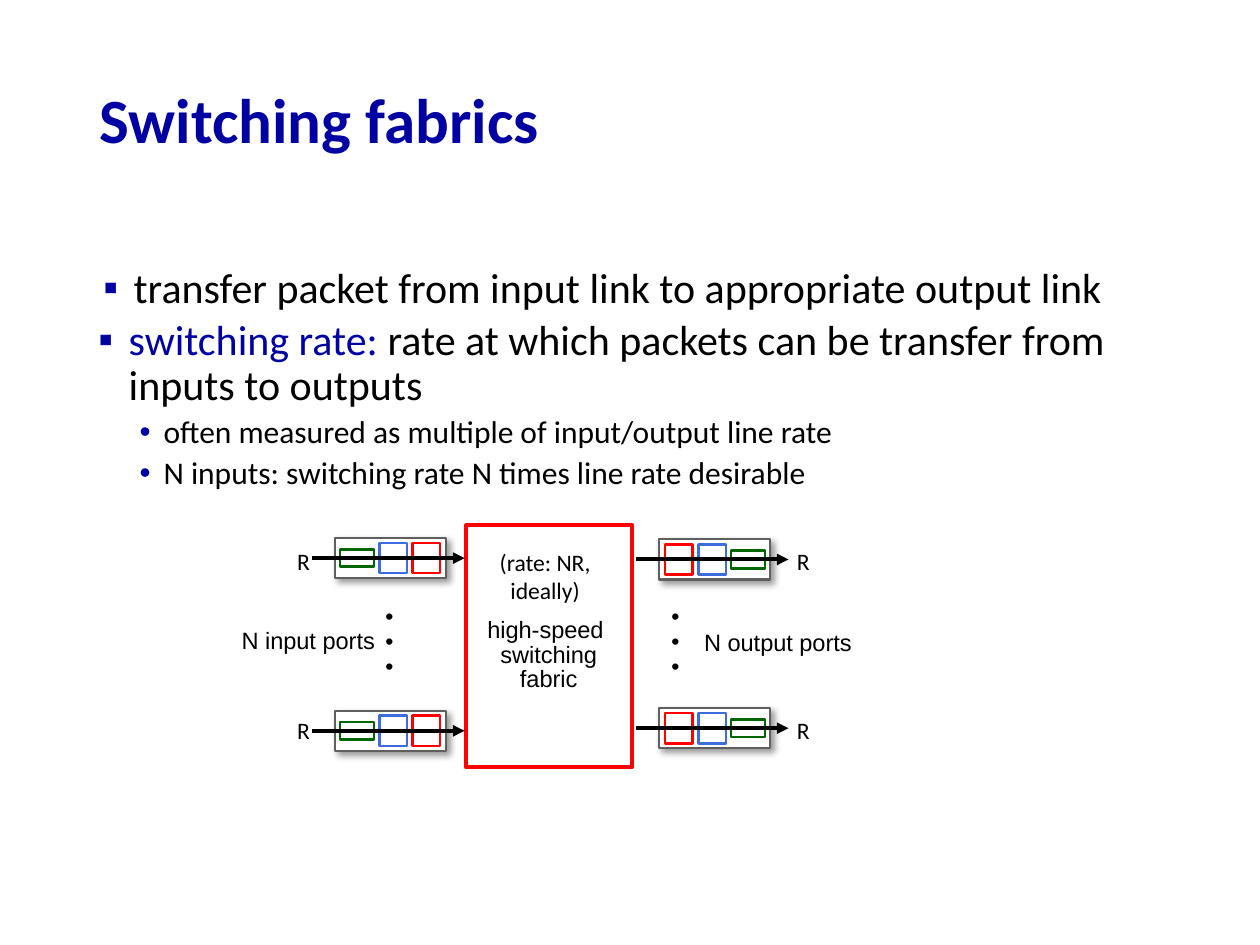
import pptx
import pptx.util
import pptx.dml.color
import pptx.enum.shapes
import pptx.enum.text
import pptx.oxml
import pptx.oxml.ns

Pt = pptx.util.Pt
RGB = pptx.dml.color.RGBColor.from_string
Align = pptx.enum.text.PP_ALIGN
Fit = pptx.enum.text.MSO_AUTO_SIZE
Rect = pptx.enum.shapes.MSO_SHAPE.RECTANGLE
Wire = pptx.enum.shapes.MSO_CONNECTOR.STRAIGHT
NS = pptx.oxml.ns.nsdecls("a")

hues = {
    "navy": "0000A3", "dot": "0000A8", "black": "000000", "white": "FFFFFF",
    "red": "FF0000", "blue": "3C6CDF", "green": "006600", "gray": "5F5F5F",
}
shade = (
    f'<a:effectLst {NS}><a:outerShdw blurRad="50800" dist="38100" dir="2700000" '
    f'algn="tl" rotWithShape="0"><a:srgbClr val="{hues["black"]}">'
    '<a:alpha val="40000"/></a:srgbClr></a:outerShdw></a:effectLst>'
)


def write(para, text, hue="black", **form):
    run = para.add_run()
    run.text = text
    run.font.color.rgb = RGB(hues[hue])
    for key, value in form.items():
        setattr(run.font, key, value)


def frame(x, y, w, h, hue, width):
    box = slide.shapes.add_shape(Rect, Pt(x), Pt(y), Pt(w), Pt(h))
    box.shadow.inherit = False
    box.fill.solid()
    box.fill.fore_color.rgb = RGB(hues["white"])
    box.line.color.rgb = RGB(hues[hue])
    box.line.width = Pt(width)
    return box


deck = pptx.Presentation()
deck.slide_width, deck.slide_height = Pt(720), Pt(540)
slide = deck.slides.add_slide(deck.slide_layouts[1])

title, body = slide.placeholders
rate = slide.shapes.add_textbox(Pt(47.5), Pt(179.3), Pt(651.6), Pt(136.8))
spots = [(title, 49.7, 35.3, 620.6, 70.6), (body, 48.2, 149, 651.6, 37.4)]
for shape, *spot in spots:
    shape.left, shape.top, shape.width, shape.height = map(Pt, spot)
for shape in (title, body, rate):
    shape.text_frame.word_wrap = True
    shape.text_frame.auto_size = Fit.NONE
for side, gap in {"left": 5, "right": 5, "top": 3, "bottom": 3}.items():
    setattr(rate.text_frame, f"margin_{side}", Pt(gap))

head = title.text_frame.paragraphs[0]
head.alignment = Align.LEFT
head.line_spacing = 0.9
write(head, "Switching fabrics", "navy", name="Calibri", size=Pt(36), bold=True)

levels = [
    {"mark": "▪", "hue": "navy", "left": 21, "hang": -17.3, "size": 24, "gap": 7.5},
    {"mark": "•", "hue": "dot", "left": 41, "hang": -13.7, "size": 18, "gap": 3.8},
]
items = [
    (body, 0, [("transfer packet from input link to appropriate output link", "black")]),
    (rate, 0, [("switching rate: ", "navy"),
               ("rate at which packets can be transfer from inputs to outputs", "black")]),
    (rate, 1, [("often measured as multiple of input/output line rate", "black")]),
    (rate, 1, [("N inputs: switching rate N times line rate desirable", "black")]),
]
for shape, rank, parts in items:
    text = shape.text_frame
    first = not text.text
    para = text.paragraphs[0] if first else text.add_paragraph()
    look = levels[rank]
    para.level = rank
    props = para._p.get_or_add_pPr()
    props.set("marL", str(Pt(look["left"])))
    props.set("indent", str(Pt(look["hang"])))
    for part in (
        f'<a:buClr {NS}><a:srgbClr val="{hues[look["hue"]]}"/></a:buClr>',
        f'<a:buFont {NS} typeface="Arial"/>',
        f'<a:buChar {NS} char="{look["mark"]}"/>',
    ):
        props.append(pptx.oxml.parse_xml(part))
    para.line_spacing = 0.9
    para.space_before = Pt(0 if first else look["gap"])
    for words, hue in parts:
        write(para, words, hue, name="Calibri", size=Pt(look["size"]))

frame(266.4, 300.2, 95, 138.2, "red", 2.25)

wide, high = 63.4, 23
cells = [("green", 2.9, 19.4, 10), ("blue", 25.2, 15.8, 17.3), ("red", 44.1, 15.8, 17.3)]
ports = [(191.5, 307.4, False), (191.5, 406.1, False),
         (376.6, 308.2, True), (376.6, 404.6, True)]
for x, y, flip in ports:
    queue = frame(x, y, wide, high, "gray", 1.25)
    props = queue._element.spPr
    props.remove(props.find(pptx.oxml.ns.qn("a:effectLst")))
    props.append(pptx.oxml.parse_xml(shade))
    for hue, step, w, h in cells:
        left = wide - step - w if flip else step
        frame(x + left, y + (high - h) / 2, w, h, hue, 1.5)
    mid = y + high / 2
    wire = slide.shapes.add_connector(Wire, Pt(x - 13), Pt(mid), Pt(x + 74), Pt(mid))
    wire.line.color.rgb = RGB(hues["black"])
    wire.line.width = Pt(2.25)
    wire.line._get_or_add_ln().append(
        pptx.oxml.parse_xml(f'<a:tailEnd {NS} type="triangle"/>'))
    wire._element.spPr.append(pptx.oxml.parse_xml(f"<a:effectLst {NS}/>"))

plain = {"face": "Arial", "size": 13.5, "wrap": False, "align": Align.LEFT,
         "space": 1, "turn": 0}
tag = {**plain, "face": "Calibri"}
core = {**plain, "align": Align.CENTER, "space": 0.85}
note = {**tag, "wrap": True, "align": Align.CENTER}
dots = {**note, "size": 30, "turn": 90}
labels = [
    (["high-speed ", "switching", "fabric"], 270.7, 350.6, 85.7, 49, core),
    (["N input ports"], 131, 354.2, 91.4, 23.8, plain),
    (["N output ports"], 395.3, 355, 100, 23.8, plain),
    ([". . . "], 368.6, 344.9, 54.7, 43.9, dots),
    ([". . . "], 205.2, 344.9, 54.7, 43.9, dots),
    (["(rate: NR, ideally)"], 272.2, 309.6, 78.5, 40.3, note),
]
labels += [(["R"], x, y, 22.3, 23.8, tag) for x in (162.7, 448.2) for y in (308.9, 405.4)]
for lines, x, y, w, h, look in labels:
    box = slide.shapes.add_textbox(Pt(x), Pt(y), Pt(w), Pt(h))
    box.rotation = look["turn"]
    text = box.text_frame
    text.word_wrap = look["wrap"]
    text.auto_size = Fit.SHAPE_TO_FIT_TEXT
    for i, line in enumerate(lines):
        para = text.add_paragraph() if i else text.paragraphs[0]
        para.alignment = look["align"]
        para.line_spacing = look["space"]
        write(para, line, name=look["face"], size=Pt(look["size"]))

deck.save("out.pptx")
